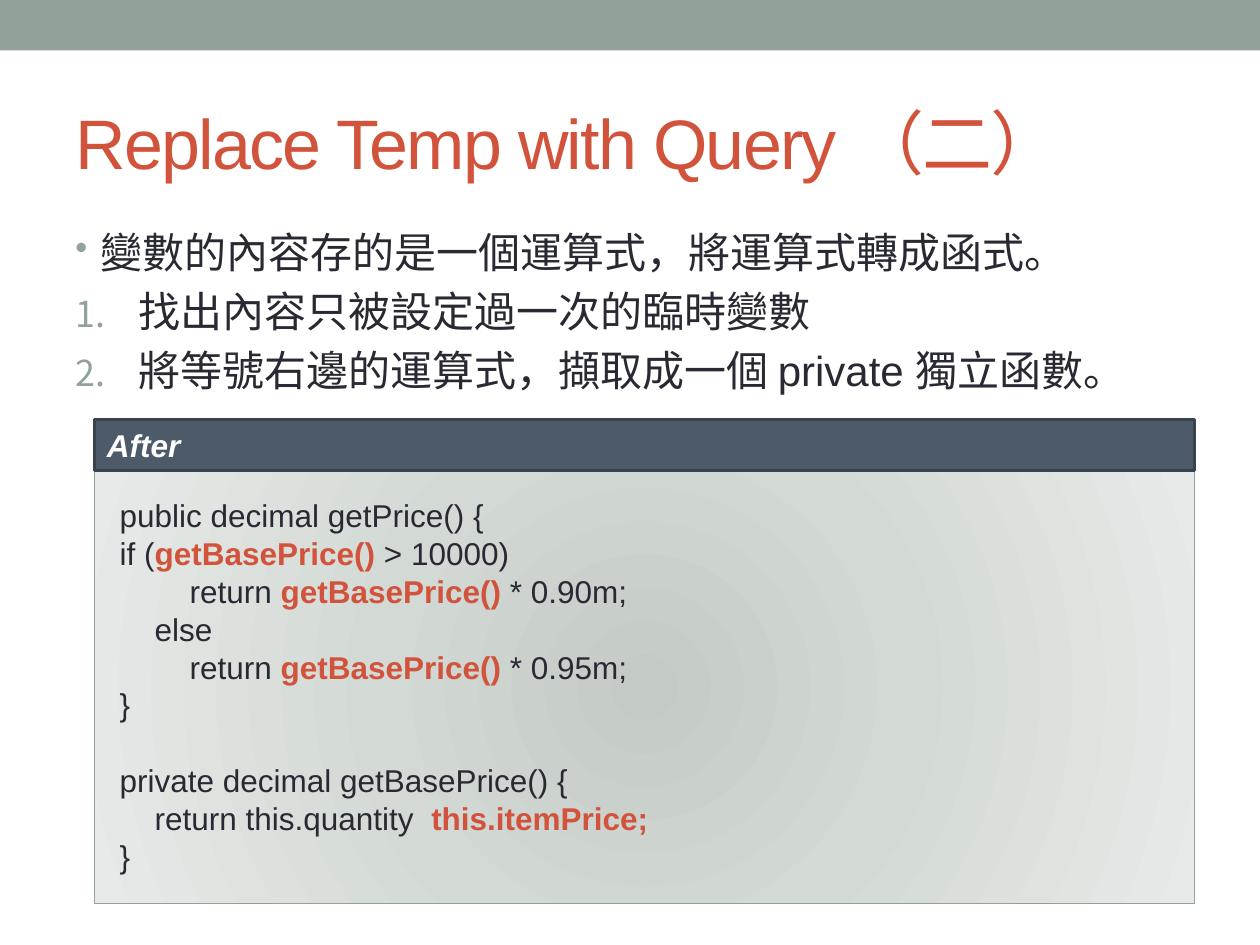
"""Build the Replace Temp with Query slide."""
from typing import NamedTuple

from lxml.etree import SubElement
from pptx import Presentation
from pptx.dml.color import RGBColor
from pptx.enum.shapes import MSO_SHAPE
from pptx.enum.text import MSO_ANCHOR, PP_ALIGN
from pptx.oxml.ns import qn
from pptx.util import Pt

SAGE, RED, INK, SLATE, EDGE, WHITE = "93A299", "D2533C", "292934", "4C5A6A", "38434E", "FFFFFF"
CALL = "getBasePrice()"
LINE_HEIGHT = 21.6
INDENT_STEP = 20


class Area(NamedTuple):
    left: float
    top: float
    width: float
    height: float


class Point(NamedTuple):
    text: str
    indent: float
    marker: str
    value: str


class CodeLine(NamedTuple):
    text: str
    level: int = 0
    gap: float = 0


POINTS = [
    Point("變數的內容存的是一個運算式，將運算式轉成函式。", 14.4, "buChar", "•"),
    Point("找出內容只被設定過一次的臨時變數", 36, "buAutoNum", "arabicPeriod"),
    Point("將等號右邊的運算式，擷取成一個 private 獨立函數。", 36, "buAutoNum", "arabicPeriod"),
]
CODE = [
    CodeLine("public decimal getPrice() {"),
    CodeLine(f"if (*{CALL}* > 10000)"),
    CodeLine(f"return *{CALL}* * 0.90m;", 2),
    CodeLine("else", 1),
    CodeLine(f"return *{CALL}* * 0.95m;", 2),
    CodeLine("}"),
    CodeLine(f"private decimal {CALL} {{", 0, LINE_HEIGHT),
    CodeLine("return this.quantity * this.itemPrice;", 1),
    CodeLine("}"),
]
GRADIENT = [(0, "C4CAC6"), (45, "D3DAD6"), (100, "E7EAE8")]


def color(value: str) -> RGBColor:
    """Turn a hex string into a colour."""
    return RGBColor.from_string(value)


def set_font(item, size: float, ink: str) -> None:
    """Set the font of a paragraph."""
    item.font.name, item.font.size = "Arial", Pt(size)
    item.font.color.rgb = color(ink)


def add_box(page, area: Area, anchor=MSO_ANCHOR.TOP):
    """Add a wrapping text box and return its text frame."""
    frame = page.shapes.add_textbox(*map(Pt, area)).text_frame
    frame.word_wrap, frame.vertical_anchor = True, anchor
    return frame


def add_rectangle(page, area: Area, fill: str = "", line: str = "", weight: float = 0):
    """Add a flat rectangle, outlined if a line colour is given."""
    shape = page.shapes.add_shape(MSO_SHAPE.RECTANGLE, *map(Pt, area))
    shape.shadow.inherit = False
    if fill:
        shape.fill.solid()
        shape.fill.fore_color.rgb = color(fill)
    if line:
        shape.line.color.rgb, shape.line.width = color(line), Pt(weight)
    else:
        shape.line.fill.background()
    return shape


def fill_radial(shape, stops: list) -> None:
    """Fill a shape with a gradient that spreads from its centre."""
    shape.fill.gradient()
    gradient = shape._element.spPr.find(qn("a:gradFill"))
    for child in list(gradient):
        gradient.remove(child)
    stop_list = SubElement(gradient, qn("a:gsLst"))
    for position, value in stops:
        stop = SubElement(stop_list, qn("a:gs"), pos=str(position * 1000))
        SubElement(stop, qn("a:srgbClr"), val=value)
    circle = SubElement(gradient, qn("a:path"), path="circle")
    SubElement(circle, qn("a:fillToRect"), l="50000", t="50000", r="50000", b="50000")


def set_indent(para, left: float, first: float = 0) -> None:
    """Set the left margin and first-line indent of a paragraph."""
    properties = para._p.get_or_add_pPr()
    properties.set("marL", str(Pt(left)))
    properties.set("indent", str(Pt(first)))


def add_marker(para, point: Point) -> None:
    """Give a paragraph its bullet or number."""
    properties = para._p.get_or_add_pPr()
    SubElement(SubElement(properties, qn("a:buClr")), qn("a:srgbClr"), val=SAGE)
    SubElement(properties, qn("a:buSzPct"), val="85000")
    key = "char" if point.marker == "buChar" else "type"
    SubElement(properties, qn(f"a:{point.marker}")).set(key, point.value)


def next_paragraph(frame, index: int):
    """Return the first paragraph of a frame or a new one."""
    return frame.add_paragraph() if index else frame.paragraphs[0]


def add_title(page, text: str) -> None:
    """Write the slide title."""
    para = add_box(page, Area(36, 41.76, 648, 77.76), MSO_ANCHOR.MIDDLE).paragraphs[0]
    span = para.add_run()
    span.text = text
    set_font(para, 40, RED)
    span.font._element.set("spc", "-100")


def add_points(page, points: list) -> None:
    """Write the bulleted and numbered points."""
    frame = add_box(page, Area(36, 126, 648, 383.76))
    for index, point in enumerate(points):
        para = next_paragraph(frame, index)
        para.text = point.text
        para.space_before = Pt(4.8)
        set_indent(para, point.indent, -point.indent)
        add_marker(para, point)
        set_font(para, 24, INK)


def add_code(page, lines: list) -> None:
    """Draw the code panel; text between single stars is highlighted."""
    panel = add_rectangle(page, Area(54, 269.28, 628.56, 246.96), line=SAGE, weight=0.75)
    fill_radial(panel, GRADIENT)
    frame = panel.text_frame
    frame.word_wrap, frame.vertical_anchor = True, MSO_ANCHOR.TOP
    frame.margin_left = frame.margin_right = frame.margin_top = frame.margin_bottom = Pt(14.4)
    for index, line in enumerate(lines):
        para = next_paragraph(frame, index)
        para.alignment = PP_ALIGN.LEFT
        para.line_spacing, para.space_before = Pt(LINE_HEIGHT), Pt(line.gap)
        set_indent(para, line.level * INDENT_STEP)
        set_font(para, 18, INK)
        for part, text in enumerate(line.text.split("*", 2)):
            span = para.add_run()
            span.text = text
            if part == 1:
                span.font.bold, span.font.color.rgb = True, color(RED)


def add_header(page, text: str) -> None:
    """Draw the heading bar of the code panel."""
    frame = add_rectangle(page, Area(54, 239.76, 628.56, 29.08), SLATE, EDGE, 2.08).text_frame
    frame.vertical_anchor = MSO_ANCHOR.MIDDLE
    para = frame.paragraphs[0]
    para.text, para.alignment = text, PP_ALIGN.LEFT
    set_font(para, 18, WHITE)
    para.font.bold = para.font.italic = True


def main() -> None:
    """Build and save the deck."""
    deck = Presentation()
    deck.slide_width, deck.slide_height = Pt(720), Pt(540)
    page = deck.slides.add_slide(deck.slide_layouts[6])
    add_rectangle(page, Area(0, 0, 720, 28.8), SAGE)
    add_title(page, "Replace Temp with Query （二）")
    add_points(page, POINTS)
    add_code(page, CODE)
    add_header(page, "After")
    deck.save("out.pptx")


main()
